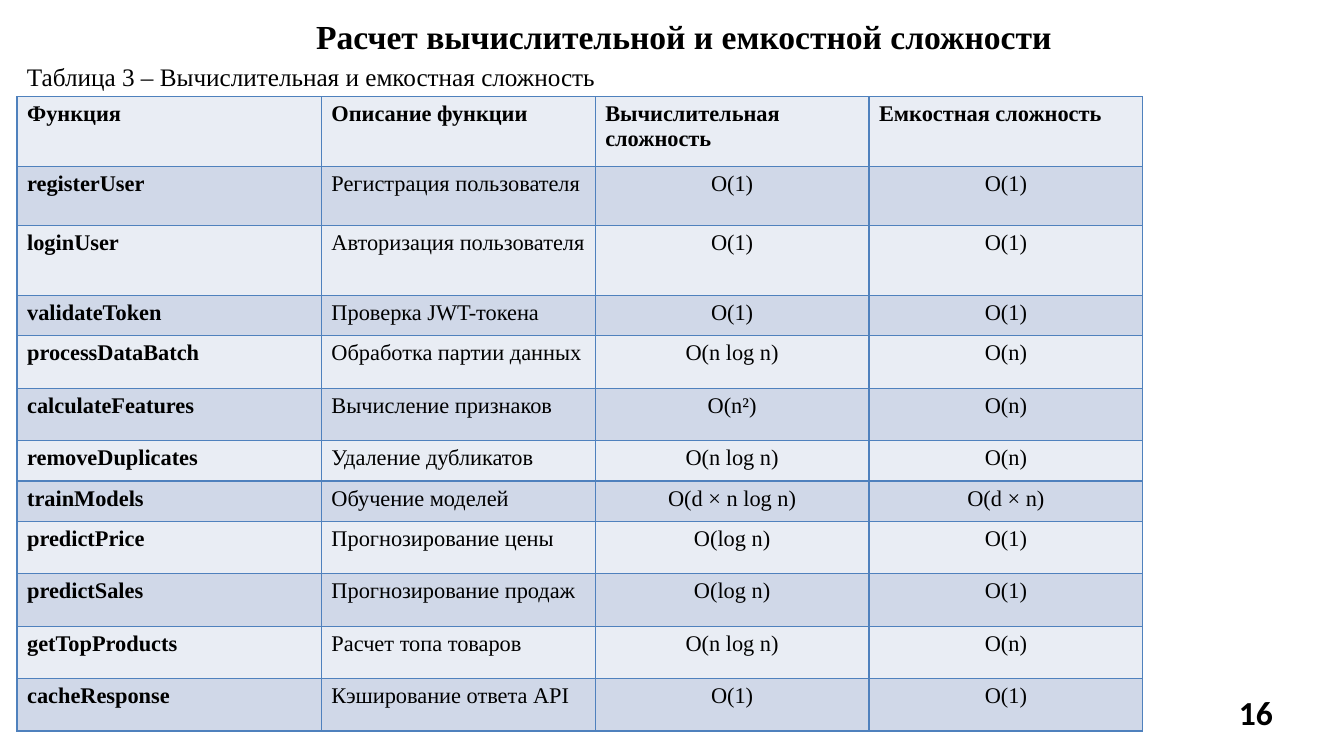
from lxml.etree import SubElement
from pptx import Presentation
from pptx.dml.color import RGBColor
from pptx.enum.text import MSO_ANCHOR, MSO_AUTO_SIZE, PP_ALIGN
from pptx.oxml.ns import qn
from pptx.util import Cm, Pt

BLACK = RGBColor(0x00, 0x00, 0x00)
BORDER = RGBColor(0x4F, 0x81, 0xBD)
BANDS = [RGBColor(0xE9, 0xED, 0xF4), RGBColor(0xD0, 0xD8, 0xE8)]


def write(tf, text, size=16, font="Times New Roman", bold=False,
          align=PP_ALIGN.LEFT, indent=0):
    p = tf.paragraphs[0]
    p.alignment = align
    if indent:
        pPr = p._p.get_or_add_pPr()
        pPr.set("marL", str(Cm(indent)))
        pPr.set("indent", "0")
    r = p.add_run()
    r.text = text
    r.font.size = Pt(size)
    r.font.name = font
    r.font.bold = bold
    r.font.color.rgb = BLACK
    return p


prs = Presentation()
prs.slide_width, prs.slide_height = Cm(33.87), Cm(19.05)
slide = prs.slides.add_slide(prs.slide_layouts[5])

# Title
title = slide.shapes.title
title.left, title.top, title.width, title.height = Cm(5.64), Cm(0.36), Cm(22.58), Cm(1.07)
tf = title.text_frame
tf.margin_left = tf.margin_right = tf.margin_bottom = 0
tf.margin_top = Cm(0.03)
tf.vertical_anchor = MSO_ANCHOR.TOP
tf.auto_size = MSO_AUTO_SIZE.SHAPE_TO_FIT_TEXT
p = write(tf, "Расчет вычислительной и емкостной сложности", size=24, bold=True,
          align=PP_ALIGN.CENTER, indent=0.61)
p.space_before = Pt(1)

# Page number
tf = slide.shapes.add_textbox(Cm(31.12), Cm(17.6), Cm(1.93), Cm(0.84)).text_frame
tf.margin_left = tf.margin_right = tf.margin_top = tf.margin_bottom = 0
tf.word_wrap = True
tf.auto_size = MSO_AUTO_SIZE.SHAPE_TO_FIT_TEXT
p = write(tf, "16", size=24, font="Calibri", bold=True, indent=0.1)
p.line_spacing = Pt(23.8)

# Table caption
tf = slide.shapes.add_textbox(Cm(0.43), Cm(1.42), Cm(15.04), Cm(1.02)).text_frame
tf.word_wrap = False
tf.auto_size = MSO_AUTO_SIZE.SHAPE_TO_FIT_TEXT
write(tf, "Таблица 3 – Вычислительная и емкостная сложность", size=18)

# Complexity table: row height in cm, then the cell texts
rows = [
    (1.75, "Функция", "Описание функции", "Вычислительная сложность", "Емкостная сложность"),
    (1.5, "registerUser", "Регистрация пользователя", "O(1)", "O(1)"),
    (1.75, "loginUser", "Авторизация пользователя", "O(1)", "O(1)"),
    (1.02, "validateToken", "Проверка JWT-токена", "O(1)", "O(1)"),
    (1.32, "processDataBatch", "Обработка партии данных", "O(n log n)", "O(n)"),
    (1.32, "calculateFeatures", "Вычисление признаков", "O(n²)", "O(n)"),
    (1.02, "removeDuplicates", "Удаление дубликатов", "O(n log n)", "O(n)"),
    (1.02, "trainModels", "Обучение моделей", "O(d × n log n)", "O(d × n)"),
    (1.32, "predictPrice", "Прогнозирование цены", "O(log n)", "O(1)"),
    (1.32, "predictSales", "Прогнозирование продаж", "O(log n)", "O(1)"),
    (1.32, "getTopProducts", "Расчет топа товаров", "O(n log n)", "O(n)"),
    (1.32, "cacheResponse", "Кэширование ответа API", "O(1)", "O(1)"),
]
col_widths = [7.67, 6.9, 6.9, 6.9]
table = slide.shapes.add_table(len(rows), len(col_widths), Cm(0.43), Cm(2.44),
                               Cm(sum(col_widths)), Cm(sum(row[0] for row in rows))).table
for col, width in zip(table.columns, col_widths):
    col.width = Cm(width)

for i, (height, *texts) in enumerate(rows):
    table.rows[i].height = Cm(height)
    for j, text in enumerate(texts):
        cell = table.cell(i, j)
        centred = i > 0 and j > 1
        write(cell.text_frame, text, bold=i == 0 or j == 0,
              align=PP_ALIGN.CENTER if centred else PP_ALIGN.LEFT)
        # Borders go before the fill in the cell properties
        tcPr = cell._tc.get_or_add_tcPr()
        for side in ("a:lnL", "a:lnR", "a:lnT", "a:lnB"):
            ln = SubElement(tcPr, qn(side), w=str(Pt(1)))
            SubElement(SubElement(ln, qn("a:solidFill")), qn("a:srgbClr"), val=str(BORDER))
        cell.fill.solid()
        cell.fill.fore_color.rgb = BANDS[i % 2]

prs.save("out.pptx")
